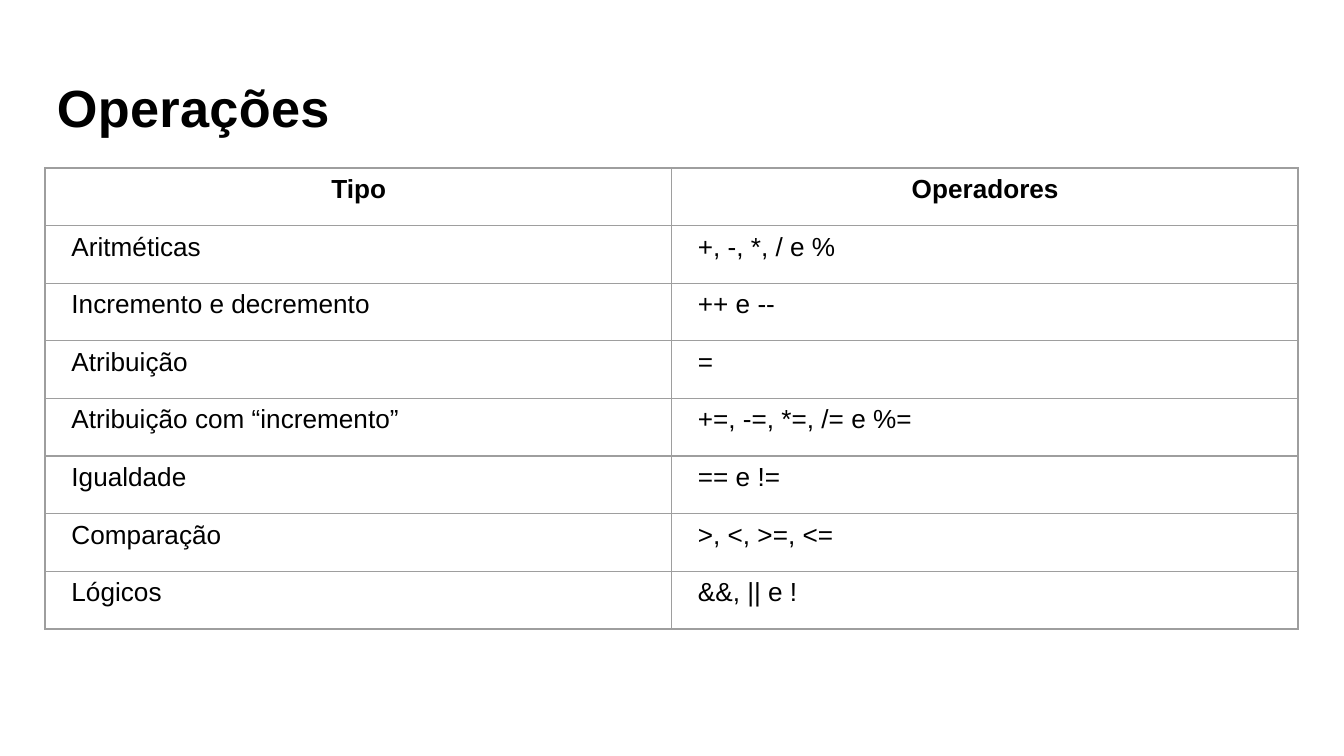
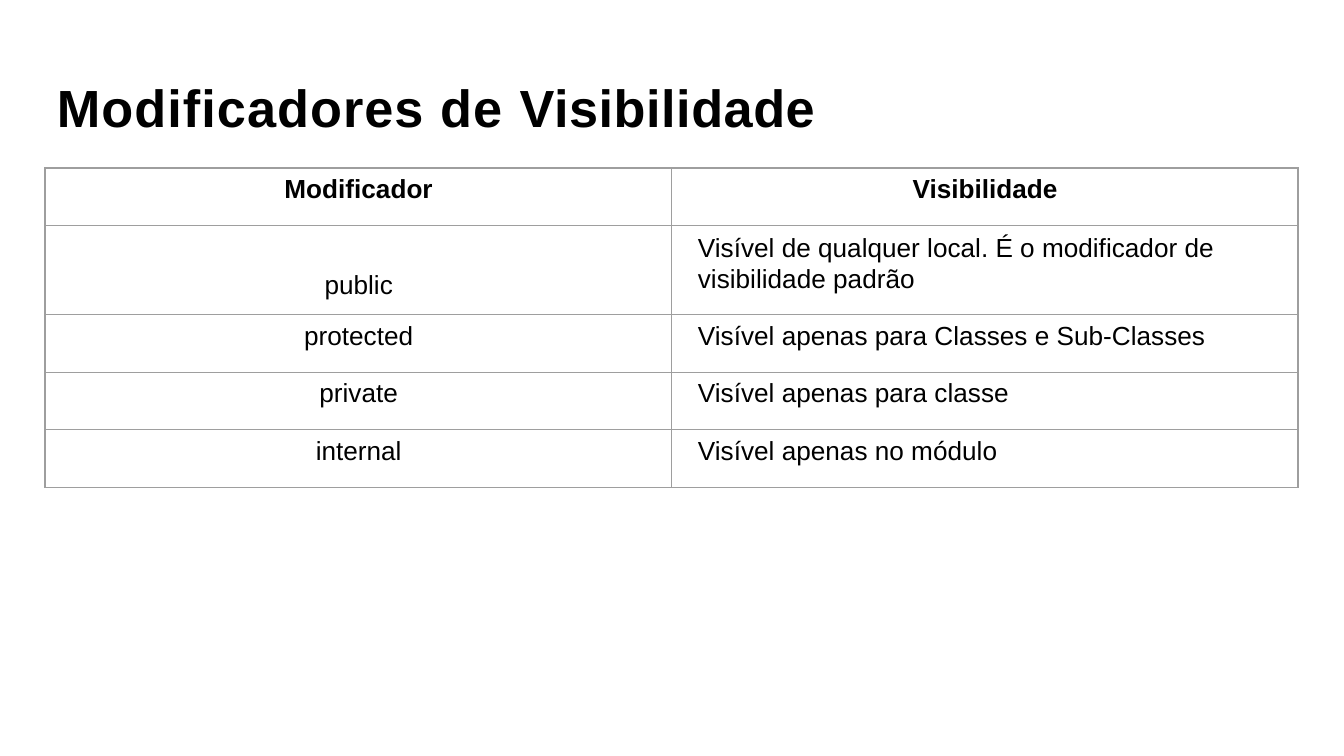
from lxml.etree import SubElement
from pptx import Presentation
from pptx.dml.color import RGBColor
from pptx.enum.text import MSO_ANCHOR, PP_ALIGN
from pptx.oxml.ns import qn
from pptx.util import Pt

EMU_PER_PX = 914400 / 134.4
FONT = "Arial"
INK = "000000"
GRID = "9E9E9E"


def px(length):
    return round(length * EMU_PER_PX)


ROW_HEIGHT = px(461) // 8
TALL_ROW_HEIGHT = px(89)

OPERATIONS = [
    ("Tipo", "Operadores"),
    ("Aritméticas", "+, -, *, / e %"),
    ("Incremento e decremento", "++ e --"),
    ("Atribuição", "="),
    ("Atribuição com “incremento”", "+=, -=, *=, /= e %="),
    ("Igualdade", "== e !="),
    ("Comparação", ">, <, >=, <="),
    ("Lógicos", "&&, || e !"),
]

MODIFIERS = [
    ("Modificador", "Visibilidade"),
    ("public", "Visível de qualquer local. É o modificador de visibilidade padrão"),
    ("protected", "Visível apenas para Classes e Sub-Classes"),
    ("private", "Visível apenas para classe"),
    ("internal", "Visível apenas no módulo"),
]


def color(hex_code):
    return RGBColor.from_string(hex_code)


def write_text(frame, runs, size=14, bold=False, align=PP_ALIGN.LEFT,
               indent=1, before=0, line=None):
    """Fill the first paragraph with (text, letter spacing in points) runs."""
    paragraph = frame.paragraphs[0]
    paragraph.alignment = align
    paragraph.space_before = Pt(before)
    if line:
        paragraph.line_spacing = Pt(line)
    properties = paragraph._p.get_or_add_pPr()
    properties.set("marL", str(px(indent)))
    properties.set("indent", "0")
    for text, spacing in runs:
        run = paragraph.add_run()
        run.text = text
        run.font.name = FONT
        run.font.size = Pt(size)
        run.font.bold = bold
        run.font.color.rgb = color(INK)
        if spacing:
            run._r.get_or_add_rPr().set("spc", str(round(spacing * 100)))


def add_title(slide, runs, left, top, width, height):
    frame = slide.shapes.add_textbox(px(left), px(top), px(width), px(height)).text_frame
    frame.word_wrap = True
    frame.vertical_anchor = MSO_ANCHOR.TOP
    frame.margin_left = frame.margin_right = frame.margin_bottom = 0
    frame.margin_top = px(1)
    write_text(frame, runs, size=28, bold=True, before=1)


def outline_cell(cell):
    properties = cell._tc.get_or_add_tcPr()
    for side in ("a:lnL", "a:lnR", "a:lnT", "a:lnB"):
        border = SubElement(properties, qn(side), w=str(Pt(0.75)))
        fill = SubElement(border, qn("a:solidFill"))
        SubElement(fill, qn("a:srgbClr"), val=GRID)
    cell.fill.background()


def add_grid(slide, rows, left, top, width, center_first=False, before=6.2):
    """Add a two-column table with a bold, centred heading row."""
    table = slide.shapes.add_table(
        len(rows), 2, px(left), px(top), px(width), ROW_HEIGHT * len(rows)).table
    table.first_row = table.horz_banding = False
    for column in table.columns:
        column.width = px(width) // 2
    for r, texts in enumerate(rows):
        table.rows[r].height = ROW_HEIGHT
        for c, text in enumerate(texts):
            cell = table.cell(r, c)
            heading = r == 0
            centered = heading or (center_first and c == 0)
            outline_cell(cell)
            tall = text.startswith("Visível de qualquer")
            write_text(cell.text_frame, [(text, 0)], bold=heading,
                       align=PP_ALIGN.CENTER if centered else PP_ALIGN.LEFT,
                       indent=1 if centered else 13,
                       before=6.2 if heading else 7.4 if tall else before,
                       line=16.5 if tall else None)
    return table


def add_table_slide(deck, title_runs, title_width, rows, **grid_format):
    slide = deck.slides.add_slide(deck.slide_layouts[6])
    add_title(slide, title_runs, 56, 74, title_width, 128)
    return add_grid(slide, rows, 45, 168, 1253, **grid_format)


def main():
    deck = Presentation()
    deck.slide_width, deck.slide_height = px(1344), px(756)
    add_table_slide(deck, [("Operações", 0.2)], 280, OPERATIONS)
    modifiers = add_table_slide(
        deck, [("Modificadores de ", 0.6), ("Visibilidade", 0.3)], 765, MODIFIERS,
        center_first=True, before=6.6)
    modifiers.rows[1].height = TALL_ROW_HEIGHT
    public = modifiers.cell(1, 0)
    public.margin_top = px(45)
    public.text_frame.paragraphs[0].space_before = Pt(0)
    deck.save("out.pptx")


if __name__ == "__main__":
    main()
